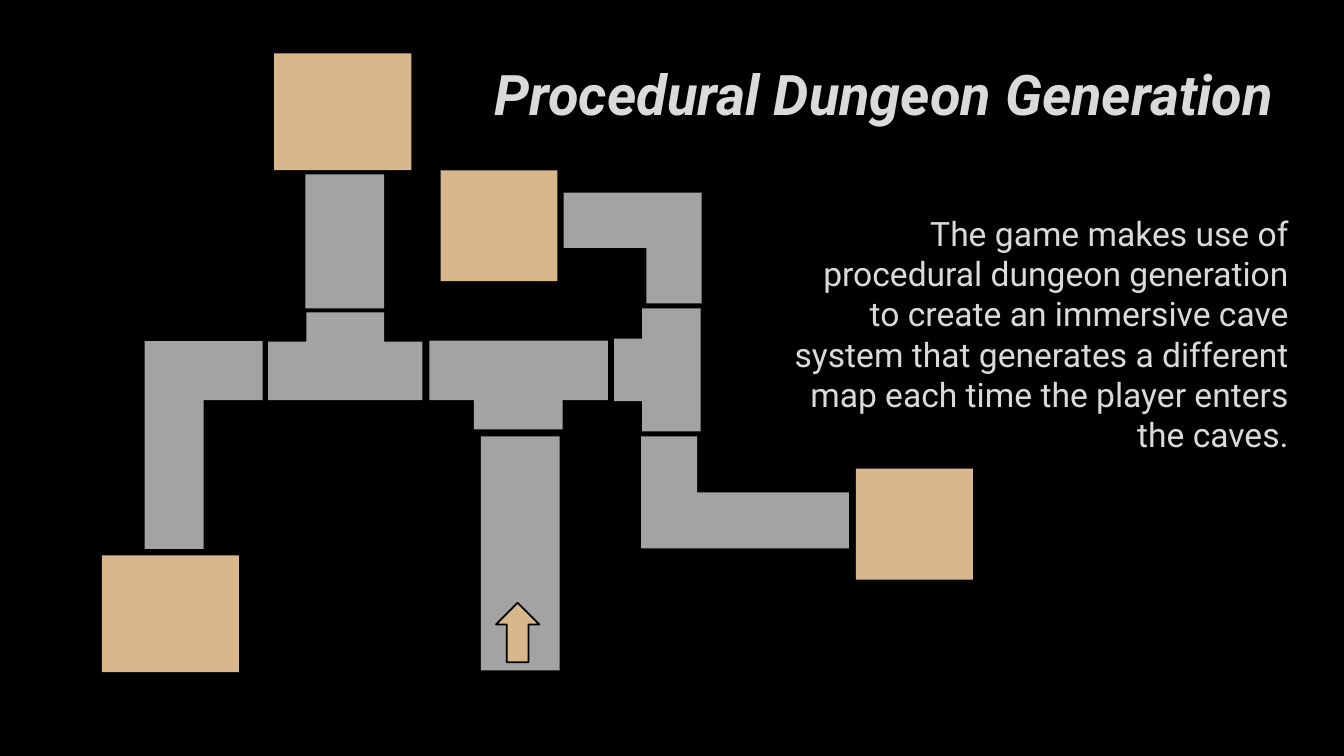
"""Builds the slide about procedural dungeon generation."""
from dataclasses import dataclass

import pptx
import pptx.dml.color
import pptx.enum.shapes
import pptx.enum.text
import pptx.oxml
import pptx.util

Inches = pptx.util.Inches
Pt = pptx.util.Pt
SHAPE = pptx.enum.shapes.MSO_SHAPE
ALIGN = pptx.enum.text.PP_ALIGN
ANCHOR = pptx.enum.text.MSO_ANCHOR


@dataclass(frozen=True)
class Theme:
    """Holds the colours and type sizes."""
    background: str = "000000"
    text: str = "DADADA"
    corridor: str = "A3A3A3"
    room: str = "D7B78B"
    outline: str = "000000"
    font: str = "Roboto"
    title_size: int = 40
    body_size: int = 24


THEME = Theme()

ROOMS = [
    (2.72, 0.53, 1.36, 1.16),
    (4.37, 1.69, 1.16, 1.10),
    (1.01, 5.51, 1.36, 1.16),
    (8.49, 4.65, 1.16, 1.10),
]
HALLS = [
    (4.77, 4.33, 0.78, 2.32),
    (3.03, 1.73, 0.78, 1.33),
]
BENDS = [
    (0.99, 3.83, 2.06, 1.17, 90),
    (6.36, 4.33, 2.06, 1.11, 0),
    (5.59, 1.91, 1.37, 1.10, 180),
]
JUNCTIONS = [
    [(4.26, 3.38), (6.03, 3.38), (6.03, 3.97), (5.58, 3.97),
     (5.58, 4.26), (4.70, 4.26), (4.70, 3.97), (4.26, 3.97)],
    [(4.19, 3.97), (2.66, 3.97), (2.66, 3.39), (3.04, 3.39),
     (3.04, 3.10), (3.81, 3.10), (3.81, 3.39), (4.19, 3.39)],
    [(6.95, 3.06), (6.95, 4.28), (6.37, 4.28), (6.37, 3.98),
     (6.09, 3.98), (6.09, 3.36), (6.37, 3.36), (6.37, 3.06)],
]


def rgb(color):
    """Turns a hex string into a colour."""
    return pptx.dml.color.RGBColor.from_string(color)


def paint(sp, color):
    """Gives a shape a flat fill without line or shadow."""
    sp.shadow.inherit = False
    sp.fill.solid()
    sp.fill.fore_color.rgb = rgb(color)
    sp.line.fill.background()


def add_block(s, kind, box, color, rotation=0):
    """Adds a preset shape in one flat colour."""
    sp = s.shapes.add_shape(kind, *map(Inches, box))
    sp.rotation = rotation
    paint(sp, color)
    return sp


def add_junction(s, corners):
    """Adds a T-shaped corridor from its corner points."""
    points = [(Inches(x), Inches(y)) for x, y in corners]
    builder = s.shapes.build_freeform(*points[0])
    builder.add_line_segments(points[1:], close=True)
    paint(builder.convert_to_shape(), THEME.corridor)


def fill_placeholder(sp, box, text, size, align, anchor, strong=False):
    """Moves a placeholder and writes one formatted paragraph."""
    sp.left, sp.top, sp.width, sp.height = map(Inches, box)
    tf = sp.text_frame
    tf.text = text
    tf.word_wrap = True
    tf.auto_size = pptx.enum.text.MSO_AUTO_SIZE.NONE
    tf.vertical_anchor = anchor
    p = tf.paragraphs[0]
    p.alignment = align
    font = p.runs[0].font
    font.name = THEME.font
    font.size = Pt(size)
    font.color.rgb = rgb(THEME.text)
    font.bold = font.italic = strong
    return p


def remove_bullet(p):
    """Drops the bullet and hanging indent of a paragraph."""
    pPr = p._p.get_or_add_pPr()
    pPr.set("marL", str(Inches(0.04)))
    pPr.set("indent", "0")
    pPr.append(pptx.oxml.parse_xml(
        '<a:buNone xmlns:a="http://schemas.openxmlformats.org/drawingml/2006/main"/>'))


def add_text(s):
    """Writes the title and the description."""
    fill_placeholder(s.shapes.title, (4.65, 0.2, 8.23, 1.44),
                     "Procedural Dungeon Generation",
                     THEME.title_size, ALIGN.CENTER, ANCHOR.MIDDLE, strong=True)
    p = fill_placeholder(s.placeholders[1], (7.68, 2.06, 5.2, 3.22),
                         "The game makes use of procedural dungeon generation "
                         "to create an immersive cave system that generates a "
                         "different map each time the player enters the caves.",
                         THEME.body_size, ALIGN.RIGHT, ANCHOR.TOP)
    p.space_after = Pt(6)
    remove_bullet(p)


def add_map(s):
    """Draws the corridors, the rooms and the entrance arrow."""
    for box in HALLS:
        add_block(s, SHAPE.RECTANGLE, box, THEME.corridor)
    for *box, rotation in BENDS:
        add_block(s, SHAPE.CORNER, box, THEME.corridor, rotation)
    for corners in JUNCTIONS:
        add_junction(s, corners)
    for box in ROOMS:
        add_block(s, SHAPE.RECTANGLE, box, THEME.room)
    arrow = add_block(s, SHAPE.RIGHT_ARROW, (4.84, 6.06, 0.59, 0.43), THEME.room, 270)
    arrow.line.color.rgb = rgb(THEME.outline)
    arrow.line.width = Pt(1.25)


def main():
    """Builds and saves the slide."""
    prs = pptx.Presentation()
    prs.slide_width, prs.slide_height = Inches(13.33), Inches(7.5)
    s = prs.slides.add_slide(prs.slide_layouts[1])
    s.background.fill.solid()
    s.background.fill.fore_color.rgb = rgb(THEME.background)
    add_text(s)
    add_map(s)
    prs.save("out.pptx")


if __name__ == "__main__":
    main()
